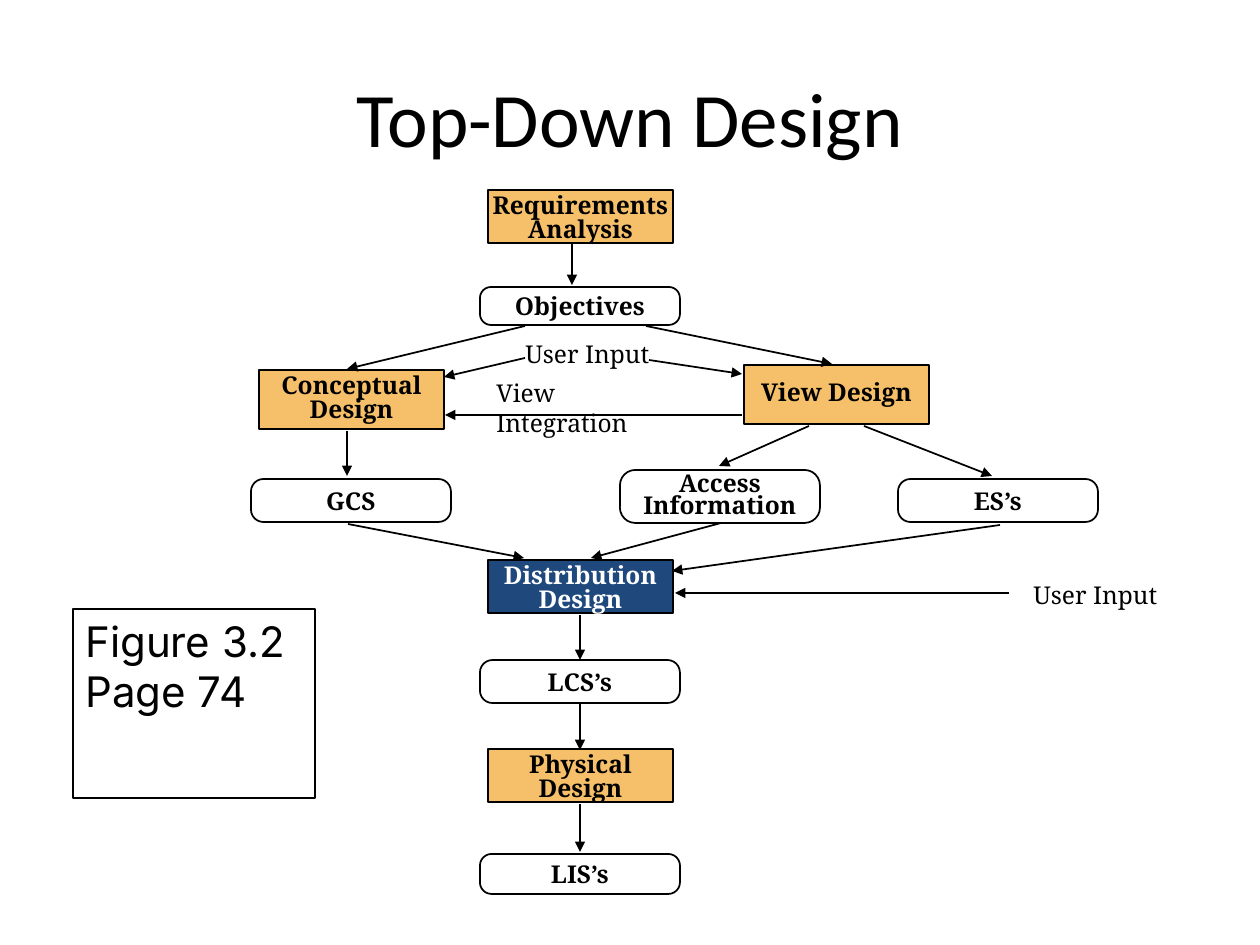
import pptx
import pptx.util
import pptx.dml.color
import pptx.enum.shapes
import pptx.enum.text
import pptx.oxml
import pptx.oxml.ns

BLACK = pptx.dml.color.RGBColor(0x00, 0x00, 0x00)
WHITE = pptx.dml.color.RGBColor(0xFF, 0xFF, 0xFF)
AMBER = pptx.dml.color.RGBColor(0xF6, 0xBF, 0x69)
NAVY = pptx.dml.color.RGBColor(0x1F, 0x49, 0x7D)
SHAPE = pptx.enum.shapes.MSO_SHAPE
ANCHOR = pptx.enum.text.MSO_ANCHOR
ALIGN = pptx.enum.text.PP_ALIGN
PIXEL = 914400 / 126

TITLE = "Top-Down Design"
MAIN, LEFT, RIGHT = 580, 351, 836
STEP_WIDTH, RESULT_WIDTH = 185, 200
STEPS = [
    (["Requirements", "Analysis"], MAIN, 190, 53, AMBER, BLACK, ANCHOR.TOP),
    (["Conceptual", "Design"], LEFT, 370, 59, AMBER, BLACK, ANCHOR.TOP),
    (["View Design"], RIGHT, 365, 59, AMBER, BLACK, ANCHOR.MIDDLE),
    (["Distribution", "Design"], MAIN, 560, 53, NAVY, WHITE, ANCHOR.TOP),
    (["Physical", "Design"], MAIN, 749, 53, AMBER, BLACK, ANCHOR.TOP),
]
RESULTS = [
    (["Objectives"], MAIN, 287, 38, 1.0, 6),
    (["Access", "Information"], 720, 470, 53, 0.75, 0),
    (["ES’s"], 998, 479, 43, 1.0, 6),
    (["GCS"], LEFT, 479, 43, 1.0, 6),
    (["LCS’s"], MAIN, 660, 43, 1.0, 6),
    (["LIS’s"], MAIN, 854, 40, 1.0, 6),
]
LABELS = [
    ("User Input", 513, 333, 150, False),
    ("View Integration", 484, 372, 217, True),
    ("User Input", 1021, 574, 150, False),
]
ARROWS = [
    ((572, 244), (572, 285)),
    ((525, 326), (347, 369)),
    ((646, 326), (832, 364)),
    ((525, 358), (444, 377)),
    ((649, 360), (742, 374)),
    ((742, 415), (445, 415)),
    ((347, 431), (347, 476)),
    ((809, 426), (719, 466)),
    ((864, 426), (992, 476)),
    ((348, 524), (524, 558)),
    ((721, 523), (591, 558)),
    ((1000, 525), (672, 571)),
    ((1009, 593), (675, 593)),
    ((580, 615), (580, 660)),
    ((580, 704), (580, 750)),
    ((580, 804), (580, 852)),
]
FIGURE = (["Figure 3.2", "Page 74"], (73, 609, 242, 189))


def emu(*pixels):
    return [round(p * PIXEL) for p in pixels]


def assign(target, values):
    for name, value in values.items():
        setattr(target, name, value)


def write(frame, lines, color=BLACK, font="Noto Serif", size=14, bold=False,
          align=ALIGN.LEFT, spacing=1.0, **frame_format):
    assign(frame, frame_format)
    for index, line in enumerate(lines):
        paragraph = frame.add_paragraph() if index else frame.paragraphs[0]
        assign(paragraph, {"alignment": align, "line_spacing": spacing})
        run = paragraph.add_run()
        run.text = line
        assign(run.font, {"name": font, "size": pptx.util.Pt(size), "bold": bold})
        run.font.color.rgb = color


def outline(line):
    line.color.rgb = BLACK
    line.width = pptx.util.Pt(1)


def box(kind, place, fill=None):
    shape = slide.shapes.add_shape(kind, *emu(*place))
    shape.shadow.inherit = False
    if fill is None:
        shape.fill.background()
    else:
        shape.fill.solid()
        shape.fill.fore_color.rgb = fill
    outline(shape.line)
    return shape


def node(kind, lines, center, top, width, height, fill, color, anchor, spacing, margin):
    shape = box(kind, (center - width // 2, top, width, height), fill)
    inset = emu(margin)[0]
    write(shape.text_frame, lines, color, bold=True, align=ALIGN.CENTER,
          spacing=spacing, word_wrap=False, vertical_anchor=anchor,
          margin_top=inset, margin_bottom=inset)
    return shape


def arrow(start, end):
    connector = slide.shapes.add_connector(
        pptx.enum.shapes.MSO_CONNECTOR.STRAIGHT, *emu(*start, *end))
    outline(connector.line)
    head = pptx.oxml.parse_xml(
        '<a:tailEnd %s type="triangle"/>' % pptx.oxml.ns.nsdecls("a"))
    connector.line._get_or_add_ln().append(head)
    effects = pptx.oxml.parse_xml("<a:effectLst %s/>" % pptx.oxml.ns.nsdecls("a"))
    connector._element.spPr.append(effects)


deck = pptx.Presentation()
assign(deck, dict(zip(("slide_width", "slide_height"), emu(1260, 945))))
slide = deck.slides.add_slide(deck.slide_layouts[5])

heading = slide.shapes.title
assign(heading, dict(zip(("left", "top", "width", "height"), emu(63, 38, 1134, 157))))
write(heading.text_frame, [TITLE], font="Calibri", size=44, align=ALIGN.CENTER,
      vertical_anchor=ANCHOR.MIDDLE)

for text, left, top, width, wraps in LABELS:
    label = slide.shapes.add_textbox(*emu(left, top, width, 42))
    write(label.text_frame, [text], word_wrap=wraps)

for lines, center, top, height, fill, color, anchor in STEPS:
    node(SHAPE.RECTANGLE, lines, center, top, STEP_WIDTH, height, fill, color,
         anchor, 0.8, 6)

for lines, center, top, height, spacing, margin in RESULTS:
    result = node(SHAPE.ROUNDED_RECTANGLE, lines, center, top, RESULT_WIDTH, height,
                  None, BLACK, ANCHOR.MIDDLE, spacing, margin)
    result.adjustments[0] = 0.29

for start, end in ARROWS:
    arrow(start, end)

figure_lines, figure_place = FIGURE
figure = box(SHAPE.RECTANGLE, figure_place)
write(figure.text_frame, figure_lines, font="Inter", size=24,
      word_wrap=True, vertical_anchor=ANCHOR.TOP)

deck.save("out.pptx")
